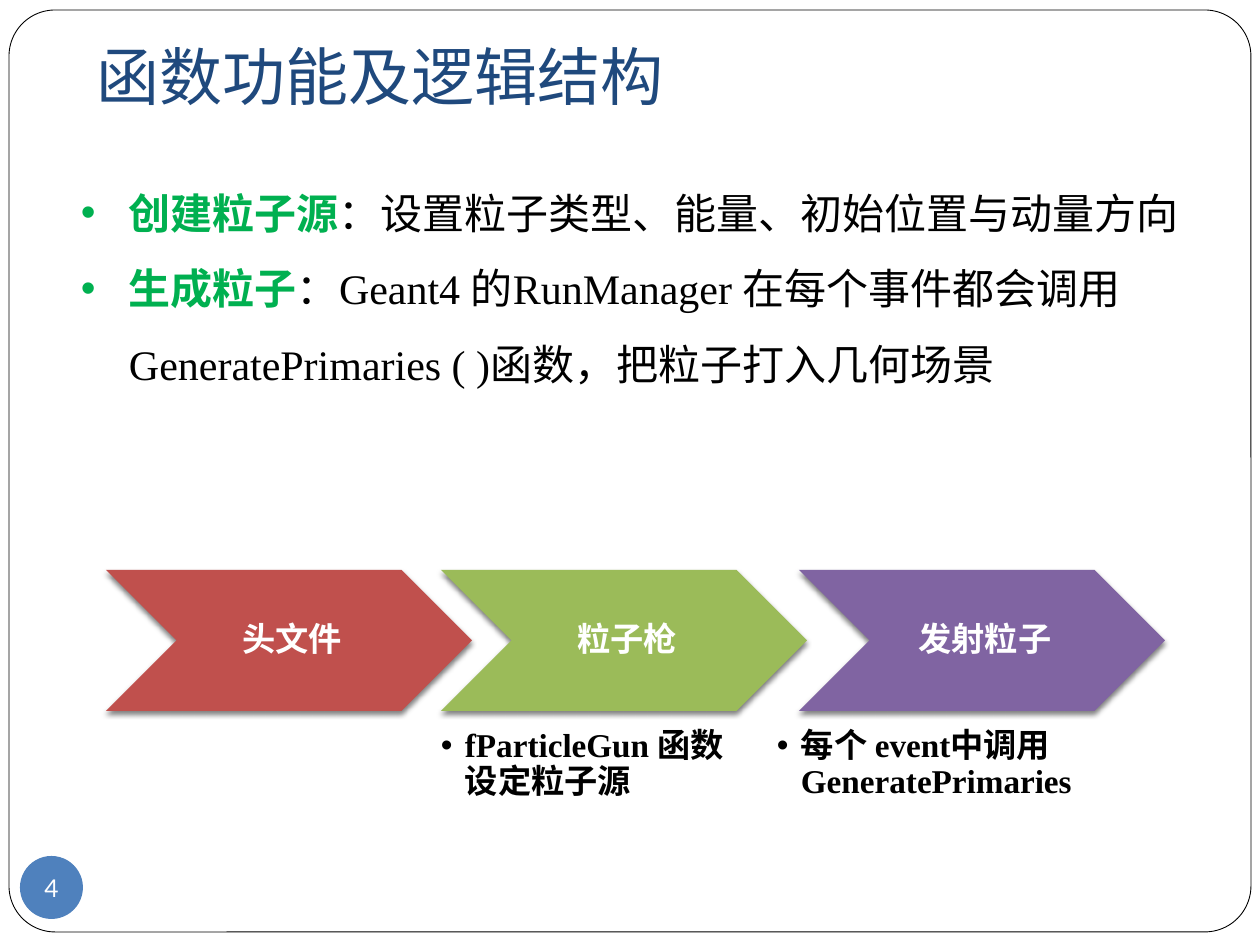
from lxml import etree
from pptx import Presentation
from pptx.dml.color import RGBColor
from pptx.enum.shapes import MSO_SHAPE
from pptx.enum.text import MSO_ANCHOR, PP_ALIGN
from pptx.oxml.ns import qn
from pptx.util import Emu, Pt

ROUNDED, OVAL, CHEVRON = MSO_SHAPE.ROUNDED_RECTANGLE, MSO_SHAPE.OVAL, MSO_SHAPE.CHEVRON
TOP, MIDDLE, BOTTOM = MSO_ANCHOR.TOP, MSO_ANCHOR.MIDDLE, MSO_ANCHOR.BOTTOM
LEFT, CENTER = PP_ALIGN.LEFT, PP_ALIGN.CENTER

PX_PER_INCH = 126
COLORS = {
    "white": "FFFFFF", "black": "000000", "navy": "1F497D", "blue": "4F81BD",
    "green": "00B050", "red": "C0504D", "olive": "9BBB59", "purple": "8064A2",
}
SANS, SERIF = "Lato", "Times New Roman"


def px(value):
    return Emu(round(value * 914400 / PX_PER_INCH))


def color(name):
    return RGBColor.from_string(COLORS[name])


class SlideBuilder:
    title = {"size": Pt(36), "name": SANS}
    number = {"size": Pt(14), "name": SANS}
    body = {"size": Pt(24), "name": SERIF}
    step = {"size": Pt(19), "name": SERIF, "bold": True}

    def __init__(self, page):
        self.page = page

    def frame(self, shape, insets, anchor, wrap=True):
        frame = shape.text_frame
        sides = ("margin_left", "margin_top", "margin_right", "margin_bottom")
        values = dict(zip(sides, map(px, insets)), vertical_anchor=anchor, word_wrap=wrap)
        for name, value in values.items():
            setattr(frame, name, value)
        return frame

    def fill_paragraph(self, para, spans, style, align=LEFT, spacing=None, indent=0):
        if indent:
            properties = para._p.get_or_add_pPr()
            properties.set("marL", str(px(indent)))
            properties.set("indent", str(-px(indent)))
            etree.SubElement(properties, qn("a:buFont"), typeface="Arial")
            etree.SubElement(properties, qn("a:buChar"), char="•")
        para.alignment = align
        para.line_spacing = spacing
        for text, tone, extra in spans:
            span = para.add_run()
            span.text = text
            for name, value in {**style, **extra}.items():
                setattr(span.font, name, value)
            span.font.color.rgb = color(tone)

    def text(self, place, paragraphs, style, insets=(13, 6, 13, 6), anchor=TOP, **layout):
        box = self.page.shapes.add_textbox(*map(px, place))
        frame = self.frame(box, insets, anchor)
        for index, spans in enumerate(paragraphs):
            para = frame.add_paragraph() if index else frame.paragraphs[0]
            self.fill_paragraph(para, spans, style, **layout)

    def shape(self, kind, place, fill, line=None):
        shape = self.page.shapes.add_shape(kind, *map(px, place))
        shape.shadow.inherit = False
        shape.fill.solid()
        shape.fill.fore_color.rgb = color(fill)
        if line:
            shape.line.color.rgb = color(line)
            shape.line.width = Pt(0.5)
        else:
            shape.line.fill.background()
        return shape

    def border(self, place):
        border = self.shape(ROUNDED, place, "white", "black")
        border.adjustments[0] = 0.05

    def badge(self, place, label):
        badge = self.shape(OVAL, place, "blue")
        para = self.frame(badge, (0, 0, 0, 0), MIDDLE, False).paragraphs[0]
        self.fill_paragraph(para, [(label, "white", {})], self.number, CENTER)

    def chevron(self, place, label, fill):
        chevron = self.shape(CHEVRON, place, fill)
        effects = chevron._element.spPr.find(qn("a:effectLst"))
        shadow = etree.SubElement(effects, qn("a:outerShdw"), blurRad=str(Pt(3)),
                                  dist=str(Pt(2)), dir="5400000", rotWithShape="0")
        tone = etree.SubElement(shadow, qn("a:srgbClr"), val=COLORS["black"])
        etree.SubElement(tone, qn("a:alpha"), val="50000")
        para = self.frame(chevron, (10, 4, 4, 4), MIDDLE).paragraphs[0]
        self.fill_paragraph(para, [(label, "white", {})], self.step, CENTER, 0.9)

    def note(self, place, text):
        self.text(place, [[(text, "black", {})]], self.step, (0, 0, 0, 0),
                  spacing=0.9, indent=24)


def main():
    deck = Presentation()
    deck.slide_width, deck.slide_height = px(1260), px(945)
    builder = SlideBuilder(deck.slides.add_slide(deck.slide_layouts[6]))

    builder.border((9, 10, 1242, 922))
    builder.text((84, 38, 1113, 88), [[("函数功能及逻辑结构", "navy", {})]],
                 builder.title, (13, 6, 13, 13), BOTTOM)
    builder.badge((20, 856, 63, 63), "4")

    points = [
        ("创建粒子源", "：设置粒子类型、能量、初始位置与动量方向"),
        ("生成粒子", "：Geant4 的RunManager 在每个事件都会调用 "
                 "GeneratePrimaries ( )函数，把粒子打入几何场景"),
    ]
    paragraphs = [[(term, "green", {"bold": True}), (detail, "black", {"bold": False})]
                  for term, detail in points]
    builder.text((68, 156, 1144, 236), paragraphs, builder.body, spacing=1.5, indent=48)

    for left, label, fill in ((106, "头文件", "red"), (441, "粒子枪", "olive"),
                              (799, "发射粒子", "purple")):
        builder.chevron((left, 570, 366, 141), label, fill)
    for left, width, text in ((441, 292, "fParticleGun 函数设定粒子源"),
                              (777, 338, "每个 event中调用GeneratePrimaries")):
        builder.note((left, 729, width, 88), text)

    deck.save("out.pptx")


if __name__ == "__main__":
    main()
